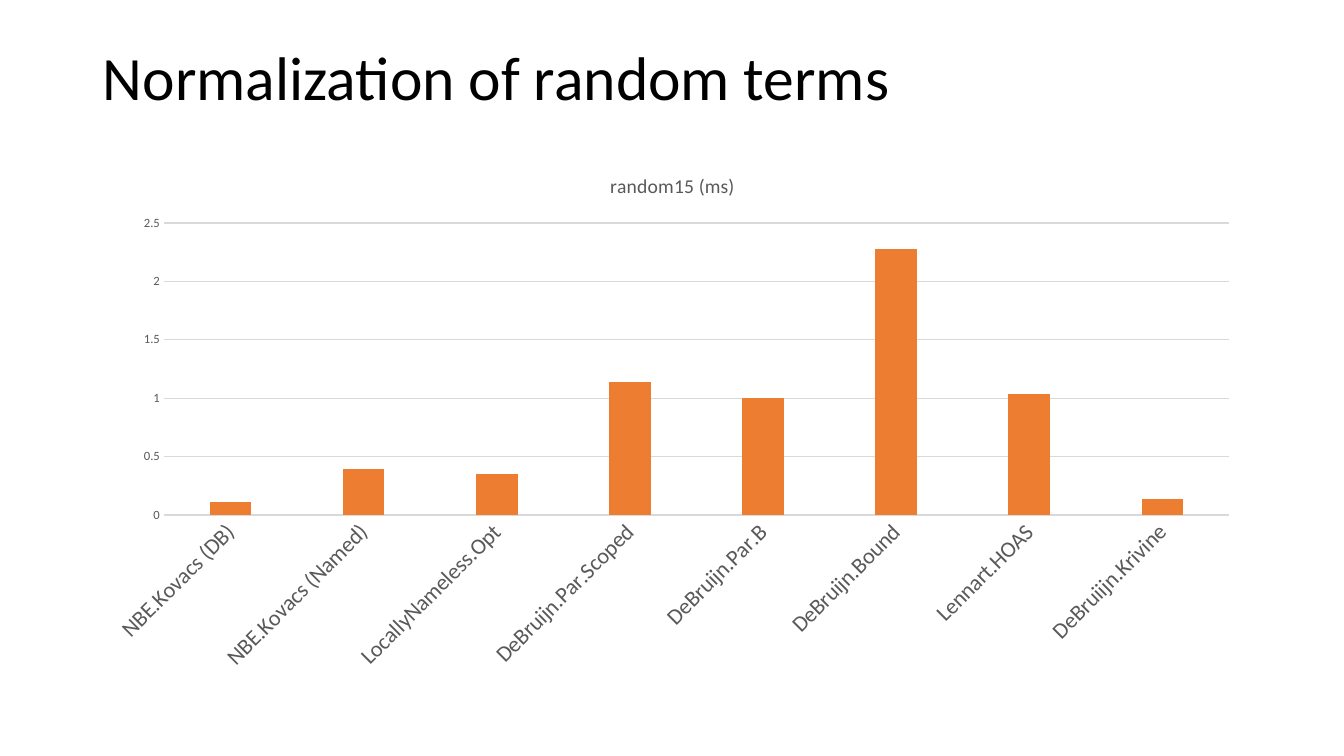
from pptx import Presentation
from pptx.chart.data import CategoryChartData
from pptx.dml.color import RGBColor as RGB
from pptx.enum.chart import XL_CHART_TYPE as Kind, XL_TICK_MARK as Tick
from pptx.enum.text import MSO_ANCHOR as Anchor, MSO_AUTO_SIZE as Auto, PP_ALIGN as Align
from pptx.util import Inches, Pt

COLORS = {"title": "000000", "label": "595959", "grid": "D9D9D9", "bar": "ED7D31"}
TIMES = {
    "NBE.Kovacs (DB)": 0.11,
    "NBE.Kovacs (Named)": 0.39,
    "LocallyNameless.Opt": 0.35,
    "DeBruijn.Par.Scoped": 1.14,
    "DeBruijn.Par.B": 1,
    "DeBruijn.Bound": 2.28,
    "Lennart.HOAS": 1.04,
    "DeBruiijn.Krivine": 0.14,
}
NAME = "random15 (ms)"


def style(font, size, color):
    font.name = "Calibri"
    font.size = Pt(size)
    font.bold = False
    font.color.rgb = RGB.from_string(COLORS[color])


def rule(line):
    line.width = Pt(0.75)
    line.color.rgb = RGB.from_string(COLORS["grid"])


deck = Presentation()
deck.slide_width, deck.slide_height = Inches(13.33), Inches(7.5)
slide = deck.slides.add_slide(deck.slide_layouts[5])

# Title
title = slide.shapes.title
title.left, title.top = Inches(0.92), Inches(0.4)
title.width, title.height = Inches(11.5), Inches(0.79)
frame = title.text_frame
frame.text = "Normalization of random terms"
frame.vertical_anchor = Anchor.MIDDLE
frame.auto_size = Auto.NONE
para = frame.paragraphs[0]
para.alignment = Align.LEFT
para.line_spacing = 0.9
style(para.font, 44, "title")

# Chart
data = CategoryChartData()
data.categories = list(TIMES)
data.add_series(NAME, list(TIMES.values()))
chart = slide.shapes.add_chart(
    Kind.COLUMN_CLUSTERED, Inches(0.92), Inches(1.52), Inches(11.5), Inches(5.24), data
).chart
style(chart.font, 10, "title")
chart.has_legend = False
chart.has_title = True
head = chart.chart_title
head.include_in_layout = False
head.text_frame.text = NAME
style(head.text_frame.paragraphs[0].font, 14, "label")

# Bars
plot = chart.plots[0]
plot.gap_width, plot.overlap = 219, -27
plot.vary_by_categories = False
fill = plot.series[0].format.fill
fill.solid()
fill.fore_color.rgb = RGB.from_string(COLORS["bar"])

# Axes
names, scale = chart.category_axis, chart.value_axis
for axis, size in ((names, 16), (scale, 9)):
    axis.major_tick_mark = axis.minor_tick_mark = Tick.NONE
    style(axis.tick_labels.font, size, "label")
rule(names.format.line)
scale.format.line.fill.background()
scale.has_major_gridlines = True
rule(scale.major_gridlines.format.line)
scale.minimum_scale, scale.maximum_scale, scale.major_unit = 0, 2.5, 0.5
scale.tick_labels.number_format = "General"
scale.tick_labels.number_format_is_linked = False

# Slanted category labels, in 60000ths of a degree
body = names._element.txPr.find("{*}bodyPr")
body.set("rot", str(-45 * 60000))
body.set("vert", "horz")

deck.save("out.pptx")
